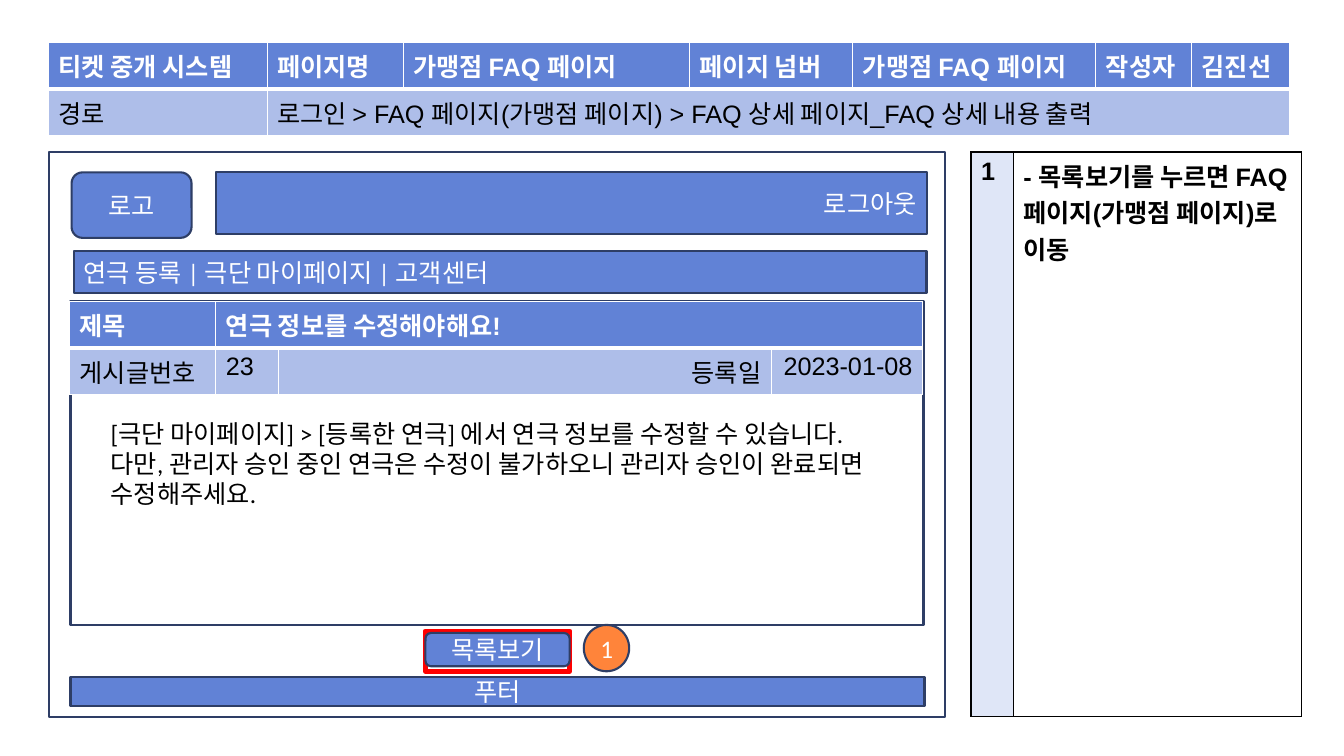
import pptx
import pptx.dml.color
import pptx.enum.shapes
import pptx.enum.text
import pptx.oxml
import pptx.oxml.ns
import pptx.util
from pptx.util import Inches

BLUE, PALE_BLUE, NAVY = "6182D6", "AEBEE9", "2E3E66"
WHITE, BLACK = "FFFFFF", "000000"
ALIGN = pptx.enum.text.PP_ALIGN
SHAPE = pptx.enum.shapes.MSO_SHAPE


def color(hex_value):
    return pptx.dml.color.RGBColor.from_string(hex_value)


def write(frame, lines, font_name, text_color, align=ALIGN.LEFT, bold=False):
    """Fill a text frame with one 18 pt paragraph per line."""
    frame.word_wrap = True
    for index, line in enumerate(lines):
        paragraph = frame.add_paragraph() if index else frame.paragraphs[0]
        paragraph.alignment = align
        run = paragraph.add_run()
        run.text = line
        run.font.name = font_name
        run.font.size = pptx.util.Pt(18)
        run.font.bold = bold
        run.font.color.rgb = color(text_color)


presentation = pptx.Presentation()
presentation.slide_width = Inches(13.33)
presentation.slide_height = Inches(7.5)
slide = presentation.slides.add_slide(presentation.slide_layouts[6])

# Frames, bars and buttons: shape, box, fill, line, line width, text, alignment
page_parts = [
    (SHAPE.RECTANGLE, (0.49, 1.51, 8.88, 5.6), None, NAVY, 1.5, "", None),
    (SHAPE.RECTANGLE, (0.7, 2.99, 8.46, 3.21), None, NAVY, 1.5, "", None),
    (SHAPE.RECTANGLE, (0.7, 6.72, 8.47, 0.28), BLUE, NAVY, 1.5, "푸터", ALIGN.CENTER),
    (SHAPE.RECTANGLE, (4.22, 6.26, 1.43, 0.4), None, "FF0000", 3.5, "", None),
    (SHAPE.OVAL, (5.79, 6.2, 0.45, 0.46), "FF843A", NAVY, 1.5, "1", ALIGN.CENTER),
    (SHAPE.ROUNDED_RECTANGLE, (0.71, 1.71, 1.19, 0.65), BLUE, NAVY, 1.5, "로고", ALIGN.CENTER),
    (SHAPE.RECTANGLE, (2.14, 1.71, 7.05, 0.61), BLUE, NAVY, 1.5, "로그아웃", ALIGN.RIGHT),
    (SHAPE.RECTANGLE, (0.73, 2.49, 8.46, 0.42), BLUE, NAVY, 1.5,
     "연극 등록 | 극단 마이페이지 | 고객센터", ALIGN.LEFT),
    (SHAPE.ROUNDED_RECTANGLE, (4.22, 6.28, 1.43, 0.33), BLUE, NAVY, 1.5, "목록보기", ALIGN.CENTER),
]
for kind, box, fill, line, line_width, text, align in page_parts:
    shape = slide.shapes.add_shape(kind, *map(Inches, box))
    shape.shadow.inherit = False
    if fill:
        shape.fill.solid()
        shape.fill.fore_color.rgb = color(fill)
    else:
        shape.fill.background()
    shape.line.color.rgb = color(line)
    shape.line.width = pptx.util.Pt(line_width)
    if text:
        shape.text_frame.vertical_anchor = pptx.enum.text.MSO_ANCHOR.MIDDLE
        write(shape.text_frame, [text], "Calibri", WHITE, align)

# Tables: None continues the cell to its left
HEADER_STYLE = {"fills": [BLUE], "text": WHITE, "bold": True, "border": WHITE,
                "width": 1, "bottom": 3}
BODY_STYLE = {"fills": [PALE_BLUE], "text": BLACK, "bold": False, "border": WHITE,
              "width": 1, "bottom": 1}
NOTE_STYLE = {"fills": ["DFE6F7", WHITE], "text": BLACK, "bold": True, "border": BLACK,
              "width": 1.2, "bottom": 1.2}
tables = [
    ((0.48, 0.42), [2.17, 1.35, 2.84, 1.62, 2.41, 0.95, 0.97], 0.41, [
        (HEADER_STYLE, ["티켓 중개 시스템", "페이지명", "가맹점 FAQ 페이지", "페이지 넘버",
                        "가맹점 FAQ 페이지", "작성자", "김진선"]),
        (BODY_STYLE, ["경로", "로그인 > FAQ 페이지(가맹점 페이지) > FAQ 상세 페이지_FAQ 상세 내용 출력"]
         + [None] * 5),
    ]),
    ((9.63, 1.51), [0.42, 2.86], 5.6, [
        (NOTE_STYLE, ["1", "- 목록보기를 누르면 FAQ 페이지(가맹점 페이지)로 이동"]),
    ]),
    ((0.69, 2.99), [1.45, 0.62, 4.89, 1.5], 0.39, [
        (HEADER_STYLE, ["제목", "연극 정보를 수정해야해요!", None, None]),
        (BODY_STYLE, ["게시글번호", "23", "등록일", "2023-01-08"]),
    ]),
]
right_aligned = ("등록일", "2023-01-08")
for (left, top), widths, row_height, rows in tables:
    table = slide.shapes.add_table(
        len(rows), len(widths), Inches(left), Inches(top),
        Inches(sum(widths)), Inches(row_height * len(rows))).table
    for column, width in zip(table.columns, widths):
        column.width = Inches(width)
    for row_index, (style, texts) in enumerate(rows):
        for column_index, text in enumerate(texts):
            cell = table.cell(row_index, column_index)
            properties = cell._tc.get_or_add_tcPr()
            for side in "LRTB":
                points = style["bottom"] if side == "B" else style["width"]
                properties.append(pptx.oxml.parse_xml(
                    f'<a:ln{side} {pptx.oxml.ns.nsdecls("a")} w="{pptx.util.Pt(points)}">'
                    f'<a:solidFill><a:srgbClr val="{style["border"]}"/></a:solidFill></a:ln{side}>'))
            cell.fill.solid()
            cell.fill.fore_color.rgb = color(style["fills"][column_index % len(style["fills"])])
            if text:
                align = ALIGN.RIGHT if text in right_aligned else ALIGN.LEFT
                write(cell.text_frame, [text], "Arial", style["text"], align, style["bold"])
        if None in texts:
            first = texts.index(None) - 1
            table.cell(row_index, first).merge(table.cell(row_index, len(texts) - 1))

# Answer text
answer = slide.shapes.add_textbox(Inches(1), Inches(4.1), Inches(7.83), Inches(1.3))
write(answer.text_frame, [
    "[극단 마이페이지] > [등록한 연극] 에서 연극 정보를 수정할 수 있습니다.",
    "다만, 관리자 승인 중인 연극은 수정이 불가하오니 관리자 승인이 완료되면 수정해주세요.",
], "Calibri", BLACK)
answer.text_frame.auto_size = pptx.enum.text.MSO_AUTO_SIZE.SHAPE_TO_FIT_TEXT

presentation.save("out.pptx")
